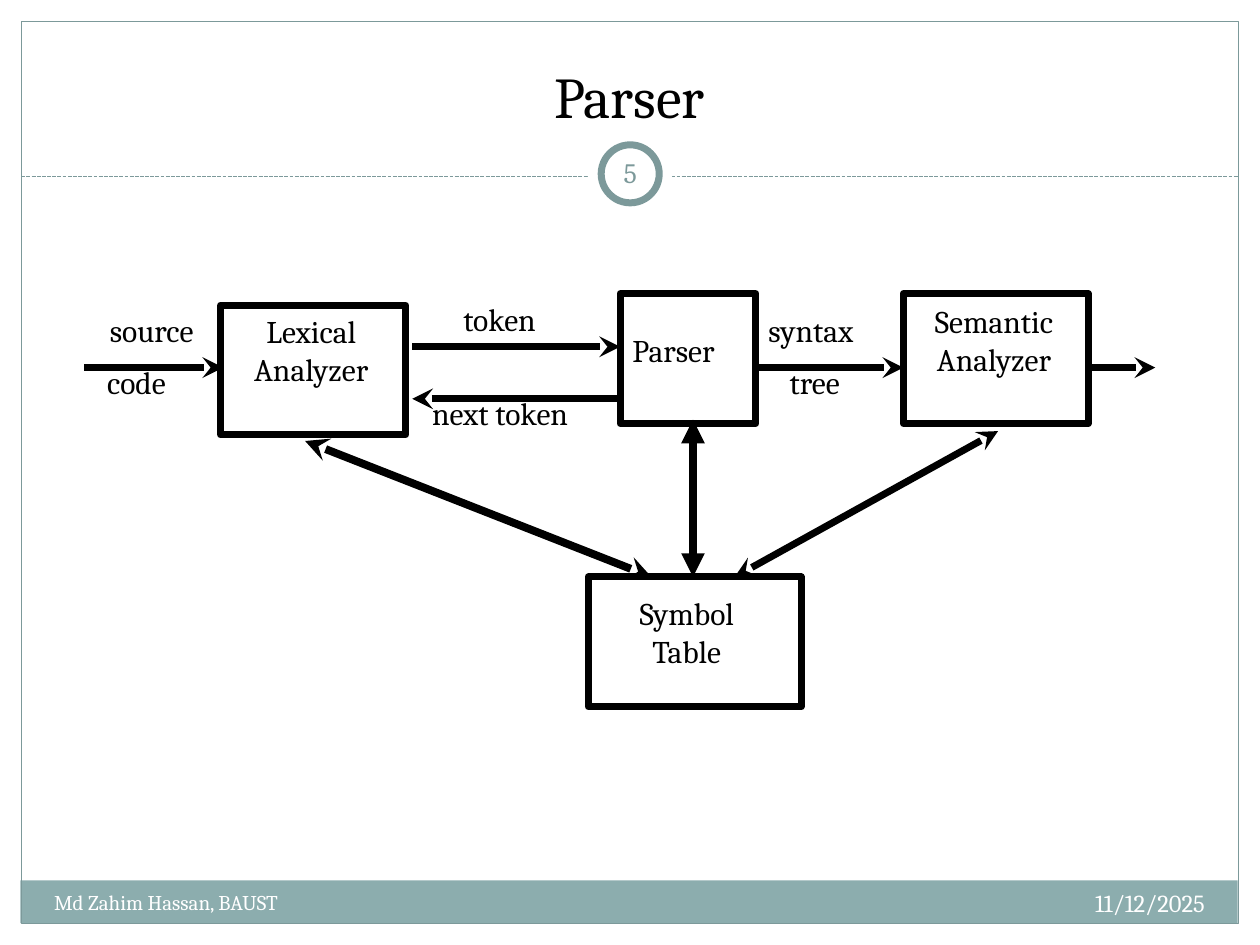
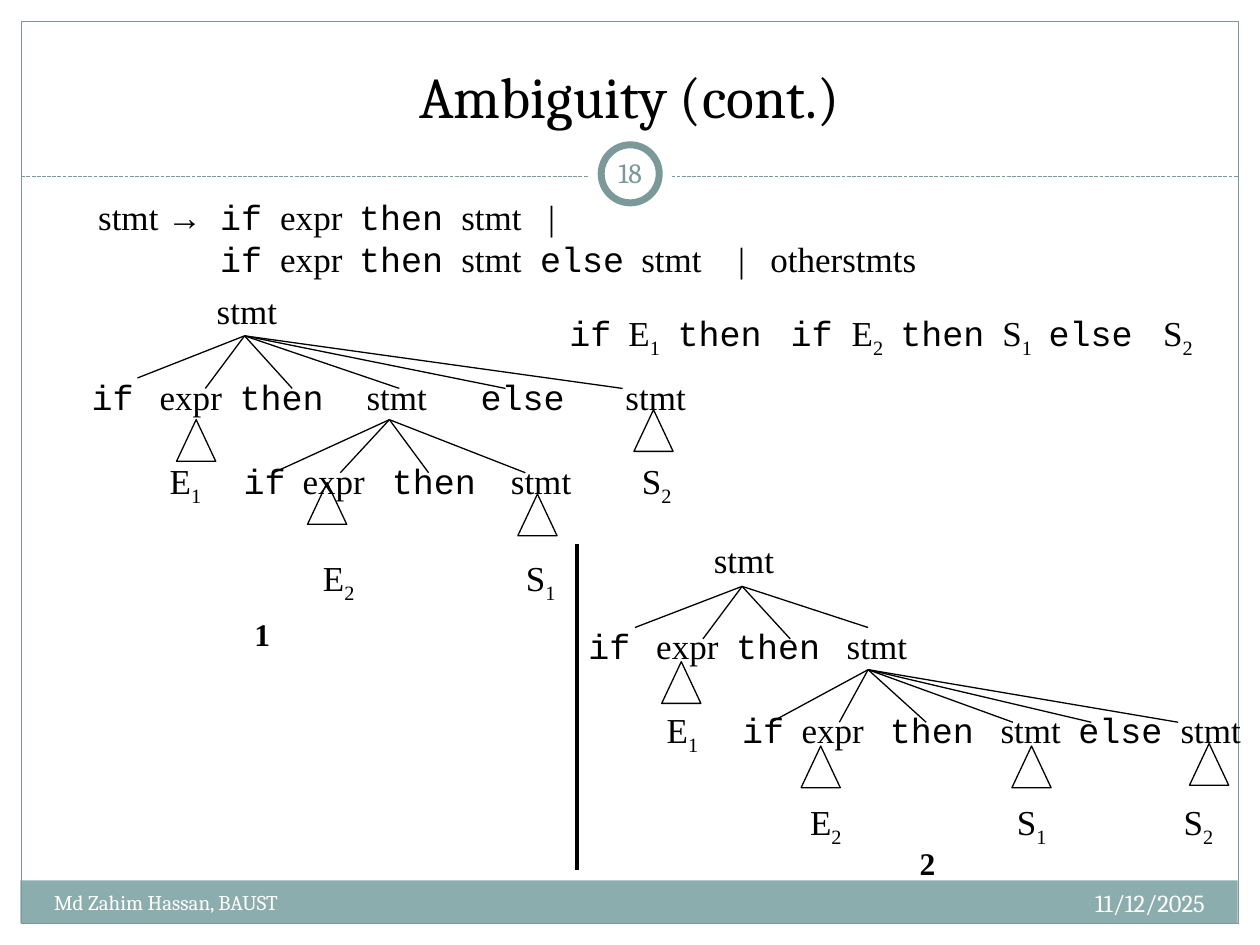
from lxml.etree import SubElement
from pptx import Presentation
from pptx.dml.color import RGBColor
from pptx.enum.dml import MSO_LINE
from pptx.enum.shapes import MSO_CONNECTOR, MSO_SHAPE
from pptx.enum.text import MSO_ANCHOR, PP_ALIGN
from pptx.oxml.ns import qn
from pptx.util import Cm, Pt

BLACK = RGBColor(0x00, 0x00, 0x00)
WHITE = RGBColor(0xFF, 0xFF, 0xFF)
TEAL = RGBColor(0x7C, 0x99, 0x9A)
BAND = RGBColor(0x8C, 0xAD, 0xAE)
KEYWORDS = ("if", "then", "else")
LEFT, CENTER, RIGHT = PP_ALIGN.LEFT, PP_ALIGN.CENTER, PP_ALIGN.RIGHT

TITLE = {"name": "Cambria", "size": Pt(33)}
DATE = {"name": "Cambria", "size": Pt(14)}
AUTHOR = {"name": "Cambria", "size": Pt(12)}
NUMBER = {"name": "Cambria", "size": Pt(16)}
LABEL = {"name": "Cambria", "size": Pt(18)}
CAPTION = {"name": "Times New Roman", "size": Pt(18), "bold": True}
SYMBOL = {"name": "Times New Roman", "size": Pt(20)}
KEYWORD = {"name": "Courier New", "size": Pt(20)}

FRAME_SHAPES = [
    (MSO_SHAPE.RECTANGLE, (0.41, 17.75, 24.54, 0.86), BAND, None, 0),
    (MSO_SHAPE.RECTANGLE, (0.43, 0.43, 24.54, 18.19), None, TEAL, 0.75),
    (MSO_SHAPE.OVAL, (11.85, 2.67, 1.7, 1.7), WHITE, None, 0),
    (MSO_SHAPE.OVAL, (12.12, 2.92, 1.17, 1.17), WHITE, TEAL, 4),
]
FRAME_LINES = [(0.43, 3.56, 24.97, 3.56, 0.75, None, None)]

PARSER_BOXES = [
    (4.45, 6.15, 3.73, 2.62),
    (12.5, 5.92, 2.74, 2.62),
    (11.86, 11.63, 4.29, 2.62),
    (18.21, 5.92, 3.73, 2.62),
]
PARSER_ARROWS = [
    (8.31, 6.99, 12.5, 6.99, 4, None, "stealth"),
    (8.31, 8.04, 12.5, 8.04, 4, "stealth", None),
    (1.7, 7.41, 4.5, 7.41, 4, None, "stealth"),
    (15.24, 7.41, 18.21, 7.41, 4, None, "stealth"),
    (22.02, 7.41, 23.29, 7.41, 4, None, "stealth"),
    (6.15, 8.89, 13.13, 11.63, 4.5, "stealth", "stealth"),
    (20.12, 8.69, 14.81, 11.63, 4, "stealth", "stealth"),
    (13.97, 8.46, 13.97, 11.63, 4.5, "triangle", "triangle"),
]
PARSER_LABELS = [
    (["Lexical", "Analyzer"], (4.47, 6.17, 3.61, 2.29), CENTER),
    (["Parser"], (12.5, 6.55, 2.62, 1.27), LEFT),
    (["Symbol", "Table"], (12.27, 11.86, 3.15, 2.29), CENTER),
    (["token"], (9.09, 5.92, 2.39, 1.27), LEFT),
    (["next token"], (8.46, 7.82, 4.06, 1.27), LEFT),
    (["source"], (1.7, 6.15, 2.72, 1.27), CENTER),
    (["Semantic", "Analyzer"], (18.21, 5.97, 3.66, 2.29), CENTER),
    (["syntax"], (15.24, 6.15, 2.72, 1.27), LEFT),
    (["tree"], (15.67, 7.19, 1.78, 1.27), LEFT),
    (["code"], (1.91, 7.19, 2.11, 1.27), LEFT),
]

BRANCHES = [
    ((4.93, 6.77), [(2.77, 7.62), (4.14, 7.83), (5.89, 7.83),
                    (8.05, 7.83), (10.19, 7.83), (12.55, 7.83)]),
    ((7.85, 8.46), [(x, 9.53) for x in (5.51, 6.86, 8.64, 10.59)]),
    ((14.96, 11.82), [(12.8, 12.65), (14.17, 12.88), (15.93, 12.88), (17.5, 12.65)]),
    ((17.5, 13.5), [(x, 14.56) for x in (15.54, 16.92, 18.67, 20.42, 22, 23.75)]),
]
SUBTREES = [(3.56, 8.46), (6.2, 9.73), (10.44, 9.96), (12.78, 8.26),
            (23.98, 14.99), (20.4, 15.04), (16.15, 15.04), (13.34, 13.34)]
DIVIDER = (11.64, 10.97, 11.64, 17.53, 2.25, None, None)

GRAMMAR = [
    (0, [("stmt →", 0), ("if", 2.46), ("expr", 3.67), ("then", 5.26),
         ("stmt", 7.32), ("|", 9.07)]),
    (0, [("if", 2.46), ("expr", 3.67), ("then", 5.26), ("stmt", 7.32),
         ("else", 8.91), ("stmt", 10.95), ("|", 12.9), ("otherstmts", 13.55)]),
]
SENTENCE = [
    (0, [("if", 0), ("E1", 1.19), ("then", 2.18), ("if", 4.46), ("E2", 5.69),
         ("then", 6.67), ("S1", 8.73), ("else", 9.66), ("S2", 11.97)]),
]
FIRST_TREE = [
    (0, [("stmt", 2.52)]),
    (25, [("if", 0), ("expr", 1.37), ("then", 2.98), ("stmt", 5.54),
          ("else", 7.84), ("stmt", 10.76)]),
    (24, [("E1", 1.57), ("if", 3.06), ("expr", 4.25), ("then", 6.05),
          ("stmt", 8.45), ("S2", 11.09)]),
    (28, [("E2", 4.66), ("S1", 8.75)]),
]
SECOND_TREE = [
    (0, [("stmt", 2.53)]),
    (25, [("if", 0), ("expr", 1.37), ("then", 2.98), ("stmt", 5.21)]),
    (24, [("E1", 1.58), ("if", 3.1), ("expr", 4.3), ("then", 6.08),
          ("stmt", 8.31), ("else", 9.88), ("stmt", 11.94)]),
    (25, [("E2", 4.47), ("S1", 8.64), ("S2", 12)]),
]

SLIDES = [
    {
        "title": "Parser",
        "number": "5",
        "shapes": [(MSO_SHAPE.RECTANGLE, box, None, BLACK, 4) for box in PARSER_BOXES],
        "lines": PARSER_ARROWS,
        "texts": [(lines, box, LABEL, BLACK, align, MSO_ANCHOR.TOP)
                  for lines, box, align in PARSER_LABELS],
        "word_rows": [],
    },
    {
        "title": "Ambiguity (cont.)",
        "number": "18",
        "shapes": [(MSO_SHAPE.ISOSCELES_TRIANGLE, (x, y, 0.79, 0.84), None, BLACK, 0.75)
                   for x, y in SUBTREES],
        "lines": [(*apex, *end, 0.75, None, None)
                  for apex, ends in BRANCHES for end in ends] + [DIVIDER],
        "texts": [([caption], box, CAPTION, BLACK, LEFT, MSO_ANCHOR.TOP)
                  for caption, box in (("1", (4.88, 12.27, 1, 1.02)),
                                       ("2", (18.29, 16.89, 1, 1.02)))],
        "word_rows": [
            (GRAMMAR, (1.73, 3.81, 17.12, 1.96)),
            (SENTENCE, (11.23, 6.15, 13.31, 1.12)),
            (FIRST_TREE, (1.6, 5.72, 12.9, 5.97)),
            (SECOND_TREE, (11.61, 10.74, 13.79, 7.67)),
        ],
    },
]

presentation = Presentation()
presentation.slide_width = Cm(25.4)
presentation.slide_height = Cm(19.05)

for content in SLIDES:
    slide = presentation.slides.add_slide(presentation.slide_layouts[6])

    for index, (x1, y1, x2, y2, width, head, tail) in enumerate(FRAME_LINES + content["lines"]):
        connector = slide.shapes.add_connector(
            MSO_CONNECTOR.STRAIGHT, Cm(x1), Cm(y1), Cm(x2), Cm(y2))
        is_rule = index < len(FRAME_LINES)
        connector.line.color.rgb = TEAL if is_rule else BLACK
        connector.line.width = Pt(width)
        if is_rule:
            connector.line.dash_style = MSO_LINE.SQUARE_DOT
        for tag, kind in (("a:headEnd", head), ("a:tailEnd", tail)):
            if kind:
                SubElement(connector.line._get_or_add_ln(), qn(tag), type=kind)
        SubElement(connector._element.spPr, qn("a:effectLst"))

    for kind, box, fill, outline, width in FRAME_SHAPES + content["shapes"]:
        shape = slide.shapes.add_shape(kind, *map(Cm, box))
        shape.shadow.inherit = False
        if fill is None:
            shape.fill.background()
        else:
            shape.fill.solid()
            shape.fill.fore_color.rgb = fill
        if outline is None:
            shape.line.fill.background()
        else:
            shape.line.color.rgb = outline
            shape.line.width = Pt(width)

    frame_texts = [
        ([content["title"]], (0.84, 0.64, 23.7, 2.11), TITLE, BLACK, CENTER, MSO_ANCHOR.BOTTOM),
        (["11/12/2025"], (16.08, 17.78, 8.46, 1.02), DATE, WHITE, RIGHT, MSO_ANCHOR.TOP),
        (["Md Zahim Hassan, BAUST"], (0.84, 17.81, 9.96, 1.02), AUTHOR, WHITE, LEFT,
         MSO_ANCHOR.TOP),
        ([content["number"]], (12.07, 2.87, 1.27, 1.22), NUMBER, TEAL, CENTER,
         MSO_ANCHOR.MIDDLE),
    ]
    for lines, box, font_format, color, align, anchor in frame_texts + content["texts"]:
        text_frame = slide.shapes.add_textbox(*map(Cm, box)).text_frame
        text_frame.word_wrap = True
        text_frame.vertical_anchor = anchor
        if font_format is NUMBER:
            text_frame.margin_left = text_frame.margin_right = Cm(0.13)
        text_frame.text = "\n".join(lines)
        for paragraph in text_frame.paragraphs:
            paragraph.alignment = align
            font = paragraph.runs[0].font
            font.color.rgb = color
            for name, value in font_format.items():
                setattr(font, name, value)

    for rows, box in content["word_rows"]:
        text_frame = slide.shapes.add_textbox(*map(Cm, box)).text_frame
        text_frame.word_wrap = True
        text_frame.margin_right = 0
        for row_index, (space, words) in enumerate(rows):
            paragraph = text_frame.add_paragraph() if row_index else text_frame.paragraphs[0]
            paragraph.space_before = Pt(space)
            tab_stops = SubElement(paragraph._p.get_or_add_pPr(), qn("a:tabLst"))
            for word, position in words:
                if position:
                    SubElement(tab_stops, qn("a:tab"), pos=str(int(Cm(position))), algn="l")
                lead = "\t" if position else ""
                has_index = word[-1].isdigit()
                parts = [lead + word[0], word[1:]] if has_index else [lead + word]
                for part_index, part in enumerate(parts):
                    run = paragraph.add_run()
                    run.text = part
                    run.font.color.rgb = BLACK
                    for name, value in (KEYWORD if word in KEYWORDS else SYMBOL).items():
                        setattr(run.font, name, value)
                    if part_index:
                        run._r.get_or_add_rPr().set("baseline", "-25000")

presentation.save("out.pptx")
